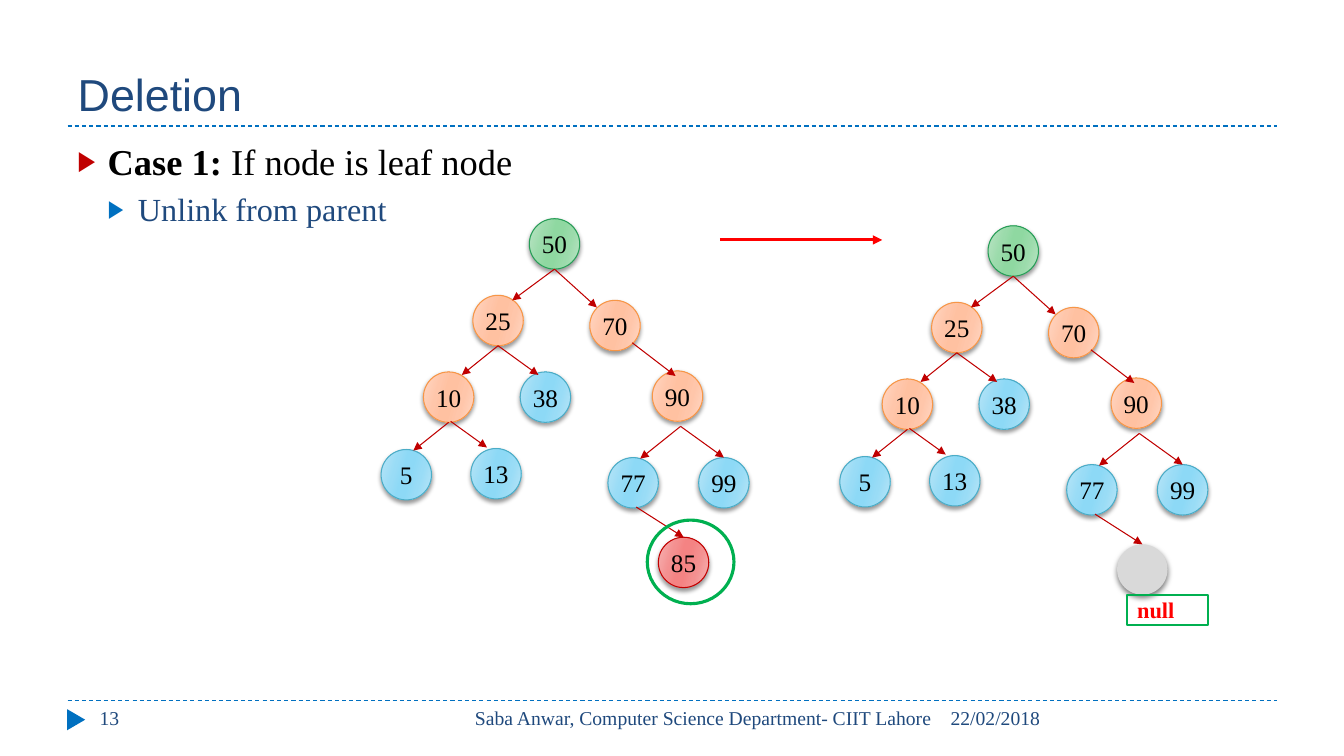
from lxml.etree import SubElement
from pptx import Presentation
from pptx.dml.color import RGBColor
from pptx.enum.shapes import MSO_CONNECTOR as Connector, MSO_SHAPE as Shape
from pptx.enum.dml import MSO_LINE as Dash
from pptx.enum.text import MSO_ANCHOR as Anchor, PP_ALIGN as Align
from pptx.oxml.ns import qn
from pptx.util import Inches, Pt

COLORS = {
    "navy": "1F497D", "blue": "0070C0", "dark_red": "C00000", "red": "FF0000",
    "green": "00B050", "gray": "D9D9D9", "black": "000000",
}
# Each node kind: edge, middle and core gradient shades, then the outline.
NODE_COLORS = {
    "root": ("BBE4C5", "9BDBAB", "8FD8A1", "279D57"),
    "inner": ("FFD7C5", "FFC6AA", "FFC1A1", "F79646"),
    "leaf": ("B9E5F7", "99DCF6", "8DD9F6", "4BACC6"),
    "target": ("F6B4B4", "F49090", "F48383", "C00000"),
}
NODE_SIZE = 0.5
NODES = [
    ("50", "root", 5.25, 2.17), ("25", "inner", 4.69, 2.93),
    ("70", "inner", 5.85, 2.98), ("10", "inner", 4.2, 3.69),
    ("38", "leaf", 5.16, 3.69), ("90", "inner", 6.47, 3.68),
    ("5", "leaf", 3.78, 4.46), ("13", "leaf", 4.67, 4.45),
    ("77", "leaf", 6.03, 4.54), ("99", "leaf", 6.93, 4.54),
]
EDGES = [
    (5.5, 2.67, 5.08, 2.98), (5.5, 2.67, 5.92, 3.05),
    (4.94, 3.43, 4.58, 3.72), (4.94, 3.43, 5.34, 3.72),
    (6.27, 3.4, 6.7, 3.73), (4.45, 4.19, 4.1, 4.47),
    (4.47, 4.18, 4.83, 4.44), (6.75, 4.23, 6.35, 4.55),
    (6.75, 4.23, 7.18, 4.54), (6.31, 5.03, 6.78, 5.33),
]
TARGET = (6.53, 5.33)
AFTER_SHIFT = (4.55, 0.07)


class SlideBuilder:
    """Hold the style and the current slide, and draw its elements."""

    serif = "Times New Roman"
    sans = "Arial"

    def __init__(self, page):
        self.page = page

    def style(self, span, size, color, bold=False, font=None):
        """Format one run."""
        span.font.name = font or self.serif
        span.font.size = Pt(size)
        span.font.bold = bold
        span.font.color.rgb = RGBColor.from_string(COLORS[color])

    def title(self, text, left, top, width, height):
        """Place and format the title placeholder."""
        box = self.page.shapes.title
        box.left, box.top = Inches(left), Inches(top)
        box.width, box.height = Inches(width), Inches(height)
        frame = box.text_frame
        frame.text = text
        frame.vertical_anchor = Anchor.BOTTOM
        para = frame.paragraphs[0]
        para.alignment = Align.LEFT
        self.style(para.runs[0], 32, "navy", font=self.sans)

    def text(self, text, left, top, width, height, align=Align.LEFT):
        """Add a line of footer text."""
        frame = self.frame(left, top, width, height)
        frame.text = text
        para = frame.paragraphs[0]
        para.alignment = align
        self.style(para.runs[0], 14, "navy")

    def frame(self, left, top, width, height):
        """Add a wrapping text box and return its text frame."""
        box = self.page.shapes.add_textbox(
            Inches(left), Inches(top), Inches(width), Inches(height))
        box.text_frame.word_wrap = True
        return box.text_frame

    def bullet(self, para, level, color, space):
        """Give a paragraph a triangular bullet and a hanging indent."""
        para.level = level
        para.space_before = Pt(space)
        props = para._p.get_or_add_pPr()
        props.set("marL", str(Inches(0.3 * (level + 1))))
        props.set("indent", str(Inches(-0.3)))
        tint = SubElement(props, qn("a:buClr"))
        SubElement(tint, qn("a:srgbClr"), val=COLORS[color])
        SubElement(props, qn("a:buSzPct"), val="76000")
        SubElement(props, qn("a:buFont"), typeface=self.sans)
        SubElement(props, qn("a:buChar"), char="▶")

    def line(self, x1, y1, x2, y2, color, width=0.75, dash=None, arrow=False):
        """Add a straight line, with an arrowhead at its end if asked."""
        line = self.page.shapes.add_connector(
            Connector.STRAIGHT, Inches(x1), Inches(y1), Inches(x2), Inches(y2))
        line.line.color.rgb = RGBColor.from_string(COLORS[color])
        line.line.width = Pt(width)
        if dash:
            line.line.dash_style = dash
        if arrow:
            SubElement(line.line._get_or_add_ln(), qn("a:tailEnd"), type="triangle")
        SubElement(line._element.spPr, qn("a:effectLst"))

    def shape(self, kind, left, top, width, height, fill=None, outline=None, weight=0.75):
        """Add a preset shape; colours are hex strings or None."""
        shape = self.page.shapes.add_shape(
            kind, Inches(left), Inches(top), Inches(width), Inches(height))
        shape.shadow.inherit = False
        if fill:
            shape.fill.solid()
            shape.fill.fore_color.rgb = RGBColor.from_string(fill)
        else:
            shape.fill.background()
        if outline:
            shape.line.color.rgb = RGBColor.from_string(outline)
            shape.line.width = Pt(weight)
        else:
            shape.line.fill.background()
        return shape

    def shadow(self, shape, alpha, blur):
        """Add a soft shadow just below a shape."""
        effects = shape._element.spPr.find(qn("a:effectLst"))
        outer = SubElement(effects, qn("a:outerShdw"), blurRad=str(Pt(blur)),
                           dist=str(Pt(2)), dir="5400000", rotWithShape="0")
        tint = SubElement(outer, qn("a:srgbClr"), val=COLORS["black"])
        SubElement(tint, qn("a:alpha"), val=str(alpha * 1000))

    def node(self, text, kind, left, top):
        """Add a shaded tree node with its key."""
        edge, middle, core, outline = NODE_COLORS[kind]
        node = self.shape(Shape.OVAL, left, top, NODE_SIZE, NODE_SIZE, outline=outline)
        node.fill.gradient()
        node.fill.gradient_angle = 344
        stops = node._element.spPr.find(qn("a:gradFill")).find(qn("a:gsLst"))
        for stop in list(stops):
            stops.remove(stop)
        shades = (edge, middle, core, core, middle, edge)
        for place, shade in zip((0, 30, 45, 55, 73, 100), shades):
            stop = SubElement(stops, qn("a:gs"), pos=str(place * 1000))
            SubElement(stop, qn("a:srgbClr"), val=shade)
        self.shadow(node, 40, 3)
        frame = node.text_frame
        frame.margin_left = frame.margin_right = 0
        frame.vertical_anchor = Anchor.MIDDLE
        frame.text = text
        frame.paragraphs[0].alignment = Align.CENTER
        self.style(frame.paragraphs[0].runs[0], 18, "black")

    def tree(self, shift_x=0, shift_y=0):
        """Draw the search tree, moved by the given shift."""
        for key, kind, left, top in NODES:
            self.node(key, kind, left + shift_x, top + shift_y)
        for x1, y1, x2, y2 in EDGES:
            self.line(x1 + shift_x, y1 + shift_y, x2 + shift_x, y2 + shift_y,
                      "dark_red", arrow=True)


def main():
    """Build the slide and save it."""
    deck = Presentation()
    deck.slide_width, deck.slide_height = Inches(13.33), Inches(7.5)
    page = deck.slides.add_slide(deck.slide_layouts[5])
    builder = SlideBuilder(page)

    for rule_y in (1.25, 6.95):
        builder.line(0.67, rule_y, 12.67, rule_y, "blue", dash=Dash.DASH)
    marker = builder.shape(Shape.ISOSCELES_TRIANGLE, 0.65, 7.05, 0.21, 0.18, COLORS["blue"])
    marker.rotation = 90
    builder.title("Deletion", 0.67, 0.17, 12, 1.08)
    builder.text("13", 0.89, 6.95, 2.89, 0.4)
    builder.text("Saba Anwar, Computer Science Department- CIIT Lahore",
                 4.23, 6.95, 5.11, 0.4, Align.RIGHT)
    builder.text("22/02/2018", 9.33, 6.95, 3.34, 0.4)

    body = builder.frame(0.67, 1.33, 12, 5.4)
    case = body.paragraphs[0]
    builder.bullet(case, 0, "dark_red", 6)
    for words, bold in (("Case 1: ", True), ("If node is leaf node", False)):
        span = case.add_run()
        span.text = words
        builder.style(span, 26, "black", bold)
    step = body.add_paragraph()
    step.text = "Unlink from parent"
    builder.bullet(step, 1, "blue", 5)
    builder.style(step.runs[0], 23, "navy")

    builder.line(7.14, 2.38, 8.75, 2.38, "red", 2.25, arrow=True)
    builder.node("85", "target", *TARGET)
    builder.tree()
    builder.shape(Shape.OVAL, 6.42, 5.16, 0.86, 0.83, outline=COLORS["green"], weight=2.25)

    shift_x, shift_y = AFTER_SHIFT
    removed = builder.shape(Shape.OVAL, TARGET[0] + shift_x, TARGET[1] + shift_y,
                            NODE_SIZE, NODE_SIZE, COLORS["gray"])
    builder.shadow(removed, 50, 4)
    builder.tree(shift_x, shift_y)
    null_box = builder.shape(Shape.RECTANGLE, 11.18, 5.9, 0.8, 0.3,
                             outline=COLORS["green"], weight=1.5)
    null_box.text_frame.text = "null"
    null_box.text_frame.vertical_anchor = Anchor.MIDDLE
    label = null_box.text_frame.paragraphs[0]
    label.alignment = Align.LEFT
    builder.style(label.runs[0], 16, "red", bold=True)
    deck.save("out.pptx")


main()
